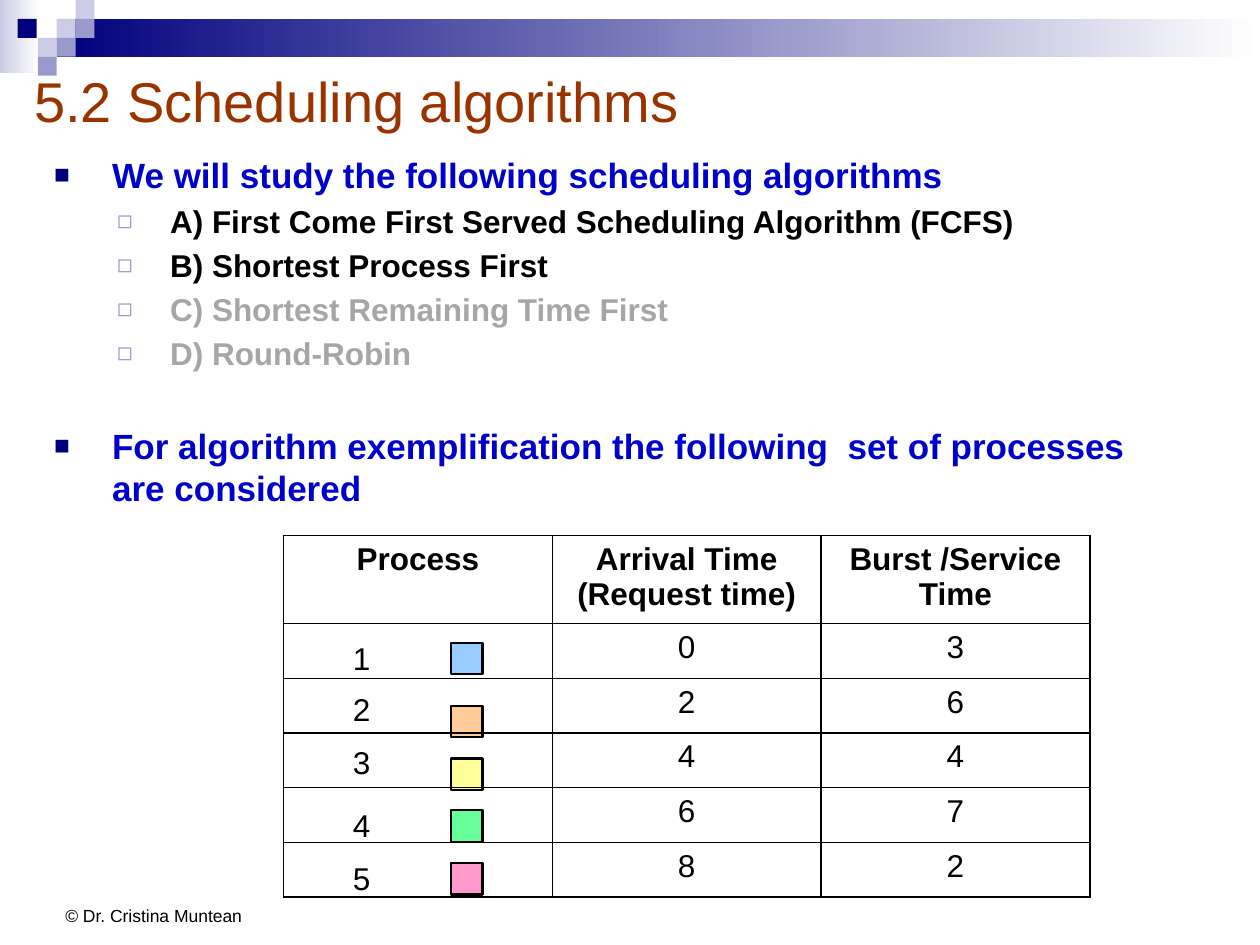
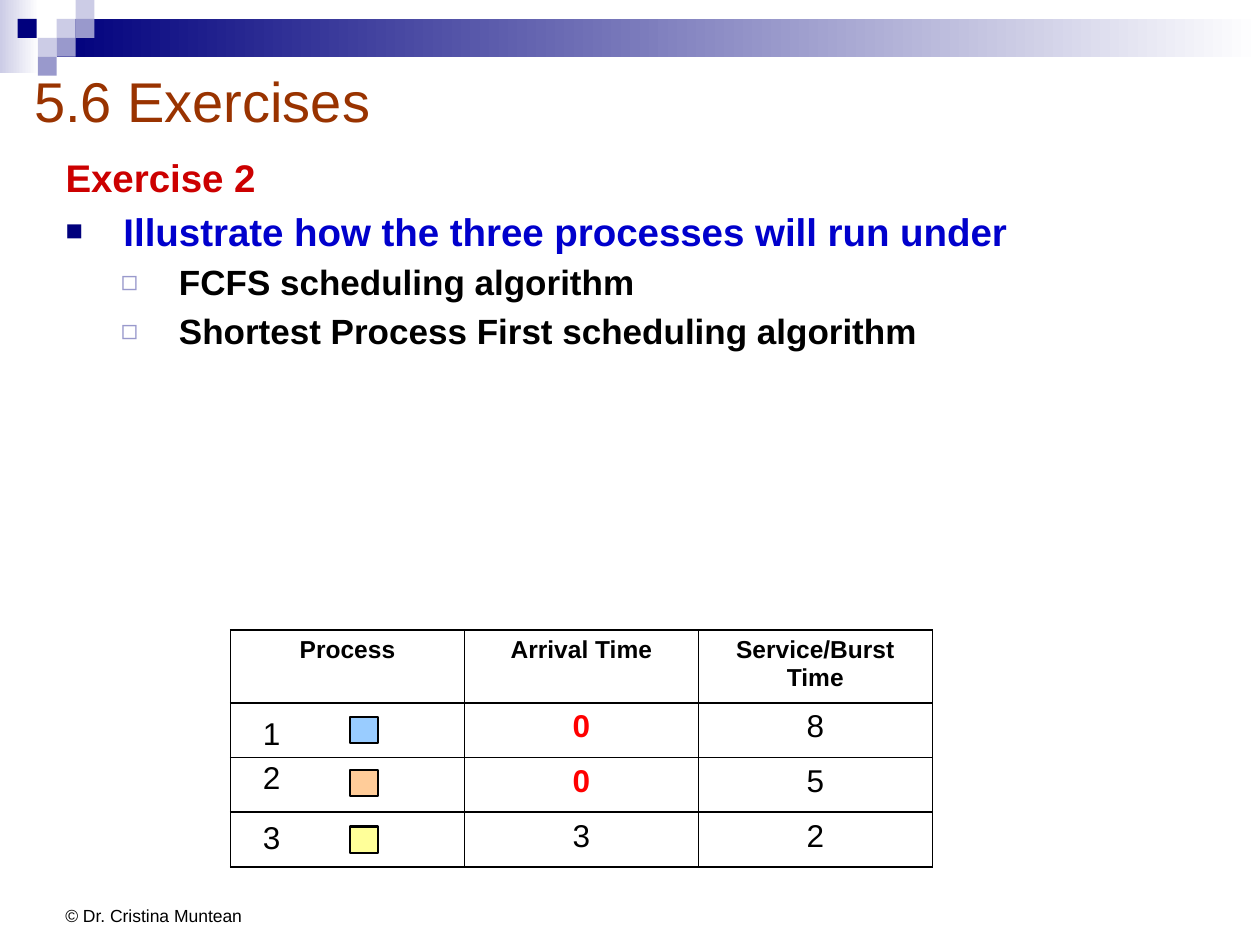
from lxml import etree
from pptx import Presentation
from pptx.dml.color import RGBColor
from pptx.enum.shapes import MSO_SHAPE
from pptx.enum.text import MSO_ANCHOR, MSO_AUTO_SIZE, PP_ALIGN
from pptx.oxml.ns import qn
from pptx.util import Inches, Pt

RECT = MSO_SHAPE.RECTANGLE
MIDDLE, BOTTOM = MSO_ANCHOR.MIDDLE, MSO_ANCHOR.BOTTOM
FIXED = MSO_AUTO_SIZE.NONE
LEFT, CENTER = PP_ALIGN.LEFT, PP_ALIGN.CENTER

FONT = "Arial"
BLACK, WHITE, GREY = "000000", "FFFFFF", "A6A6A6"
NAVY, LILAC, PALE = "00007D", "9999CC", "CCCCE6"
BROWN, BLUE, CRIMSON, RED = "993300", "0000CC", "CC0000", "FF0000"
MARKS = ["99CCFF", "FFCC99", "FFFF99", "66FF99", "FF99CC"]
BULLETS = [("\u25a0", NAVY, 75), ("\u25fb", LILAC, 80)]
UNIT = 0.15
TILES = [(0.45, 0.15, PALE), (0.6, 0, PALE), (0.6, 0.15, LILAC),
         (0.3, 0.3, PALE), (0.14, 0.15, NAVY), (0.45, 0.3, LILAC),
         (0.3, 0.45, LILAC)]


def rgb(color):
    """Turn a hex string into a colour."""
    return RGBColor.from_string(color)


def box(*sides):
    """Turn a place in inches into lengths."""
    return [Inches(side) for side in sides]


def node(parent, tag, **attrs):
    """Add one drawing element below a parent."""
    return etree.SubElement(parent, qn("a:" + tag), attrs)


class Deck:
    """Hold the style and the current slide."""

    def __init__(self):
        """Open an empty deck."""
        self.prs = Presentation()
        self.prs.slide_width, self.prs.slide_height = box(10, 7.5)

    def start(self, title):
        """Add a slide with its band, footer and title."""
        self.slide = self.prs.slides.add_slide(self.prs.slide_layouts[1])
        self.shapes = self.slide.shapes
        self.band()
        self.text("\u00a9 Dr. Cristina Muntean", (0.42, 7, 1.68, 0.4), 10, LEFT, BOTTOM)
        head = self.shapes.title
        self.place(head, (0.17, 0.17, 9.83, 1.25))
        frame = head.text_frame
        frame.text = title
        frame.vertical_anchor = MIDDLE
        frame.paragraphs[0].alignment = LEFT
        self.style(frame.paragraphs[0], 32, BROWN)

    def place(self, holder, at):
        """Move a placeholder and bring it to the front."""
        holder.left, holder.top, holder.width, holder.height = box(*at)
        holder.text_frame.auto_size = FIXED
        holder.element.getparent().append(holder.element)

    def style(self, para, size, color=BLACK, bold=False):
        """Format the runs of a paragraph."""
        for run in para.runs:
            font = run.font
            font.name, font.size, font.bold = FONT, Pt(size), bold
            font.color.rgb = rgb(color)

    def rect(self, at, color, end=None, line=None):
        """Draw a rectangle, plain or fading to a second colour."""
        shape = self.shapes.add_shape(RECT, *box(*at))
        shape.shadow.inherit = False
        if end:
            shape.fill.gradient()
            shape.fill.gradient_angle = 0
            for stop, tint in zip(shape.fill.gradient_stops, (color, end)):
                stop.color.rgb = rgb(tint)
        else:
            shape.fill.solid()
            shape.fill.fore_color.rgb = rgb(color)
        if line:
            shape.line.color.rgb = rgb(line)
            shape.line.width = Pt(1.25)
        else:
            shape.line.fill.background()

    def band(self):
        """Draw the top band with its tiles."""
        self.rect((0, 0, 0.31, 0.58), PALE, WHITE)
        self.rect((0.45, UNIT, 9.55, 2 * UNIT), NAVY, WHITE)
        for left, top, color in TILES:
            self.rect((left, top, UNIT, UNIT), color)

    def text(self, words, at, size, align, anchor):
        """Write one line of text in a box."""
        frame = self.shapes.add_textbox(*box(*at)).text_frame
        frame.word_wrap = True
        frame.vertical_anchor = anchor
        frame.text = words
        frame.paragraphs[0].alignment = align
        self.style(frame.paragraphs[0], size)

    def body(self, at, items, hangs):
        """Fill the body with items of level, text, size, colour and gap."""
        holder = self.slide.placeholders[1]
        self.place(holder, at)
        frame = holder.text_frame
        frame.text = "\n".join(item[1] for item in items)
        for para, (level, _, size, color, gap) in zip(frame.paragraphs, items):
            para.level = max(level, 0)
            if gap:
                para.space_before = Pt(gap)
            self.style(para, size, color, True)
            self.bullet(para, level, *hangs[para.level])

    def bullet(self, para, level, left, hang):
        """Set the indent and bullet, with none below level zero."""
        props = para._p.get_or_add_pPr()
        props.set("marL", str(Inches(left)))
        props.set("indent", str(-Inches(hang)))
        if level < 0:
            node(props, "buNone")
            return
        char, color, size = BULLETS[level]
        node(node(props, "buClr"), "srgbClr", val=color)
        node(props, "buSzPct", val=str(size * 1000))
        node(props, "buFont", typeface=FONT)
        node(props, "buChar", char=char)

    def marks(self, left, tops, side):
        """Draw the coloured square of each process."""
        for top, color in zip(tops, MARKS):
            self.rect((left, top, *side), color, line=BLACK)

    def labels(self, left, tops, width, height):
        """Number the processes from one."""
        for num, top in enumerate(tops, 1):
            self.text(str(num), (left, top, width, height), 18, CENTER, None)

    def table(self, at, top, size, rows, hot=()):
        """Draw a ruled table whose first row is a bold header."""
        frame = self.shapes.add_table(len(rows), len(rows[0]), *box(*at))
        grid = frame.table
        grid.first_row = grid.horz_banding = False
        rest = (at[3] - top) / (len(rows) - 1)
        for i, row in enumerate(rows):
            grid.rows[i].height = Inches(rest if i else top)
            for j, words in enumerate(row):
                cell = grid.cell(i, j)
                self.rule(cell)
                cell.text = words
                mark = (i, j) in hot
                for para in cell.text_frame.paragraphs:
                    para.alignment = CENTER
                    self.style(para, 18 if i else size, RED if mark else BLACK, mark or not i)

    def rule(self, cell):
        """Give a cell thin black borders and no fill."""
        props = cell._tc.get_or_add_tcPr()
        for side in "LRTB":
            line = node(props, "ln" + side, w=str(Pt(1)))
            node(node(line, "solidFill"), "srgbClr", val=BLACK)
        cell.fill.background()


deck = Deck()

deck.start("5.2 Scheduling algorithms")
deck.body((0.33, 1.17, 8.92, 3.83), [
    (0, "We will study the following scheduling algorithms", 20, BLUE, None),
    (1, "A) First Come First Served Scheduling Algorithm (FCFS)", 18, BLACK, None),
    (1, "B) Shortest Process First", 18, BLACK, None),
    (1, "C) Shortest Remaining Time First", 18, GREY, None),
    (1, "D) Round-Robin", 18, GREY, None),
    (0, "For algorithm exemplification the following  set of processes are considered",
     20, BLUE, 30),
], [(0.46, 0.46), (0.92, 0.42)])
deck.marks(3.58, [5.1, 5.6, 6.02, 6.43, 6.85], (0.25, 0.25))
deck.labels(2.67, [5.02, 5.43, 5.85, 6.35, 6.77], 0.4, 0.4)
deck.table((2.25, 4.25, 6.4, 2.87), 0.7, 18, [
    ("Process", "Arrival Time\n(Request time)", "Burst /Service Time"),
    ("", "0", "3"),
    ("", "2", "6"),
    ("", "4", "4"),
    ("", "6", "7"),
    ("", "8", "2"),
])

deck.start("5.6 Exercises")
deck.body((0.42, 1.17, 9.17, 5.75), [
    (-1, "Exercise 2", 22, CRIMSON, None),
    (0, "Illustrate how the three processes will run under", 22, BLUE, None),
    (1, "FCFS scheduling algorithm", 20, BLACK, None),
    (1, "Shortest Process First scheduling algorithm", 20, BLACK, None),
], [(0.46, 0.46), (0.9, 0.46)])
deck.table((1.83, 5, 5.57, 1.88), 0.58, 14, [
    ("Process", "Arrival Time", "Service/Burst Time"),
    ("", "0", "8"),
    ("", "0", "5"),
    ("", "3", "2"),
], hot={(1, 1), (2, 1)})
deck.marks(2.78, [5.69, 6.11, 6.56], (0.22, 0.21))
deck.labels(1.98, [5.62, 5.97, 6.44], 0.35, 0.33)

deck.prs.save("out.pptx")
